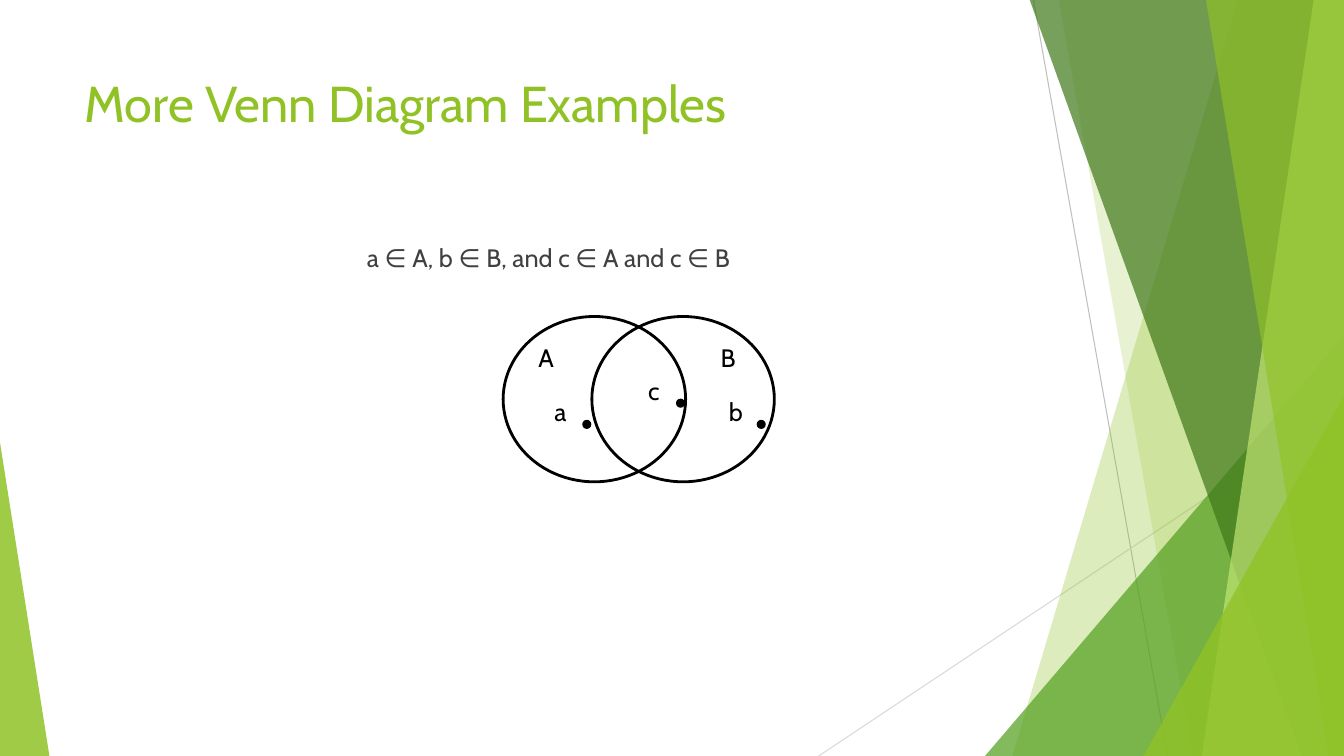
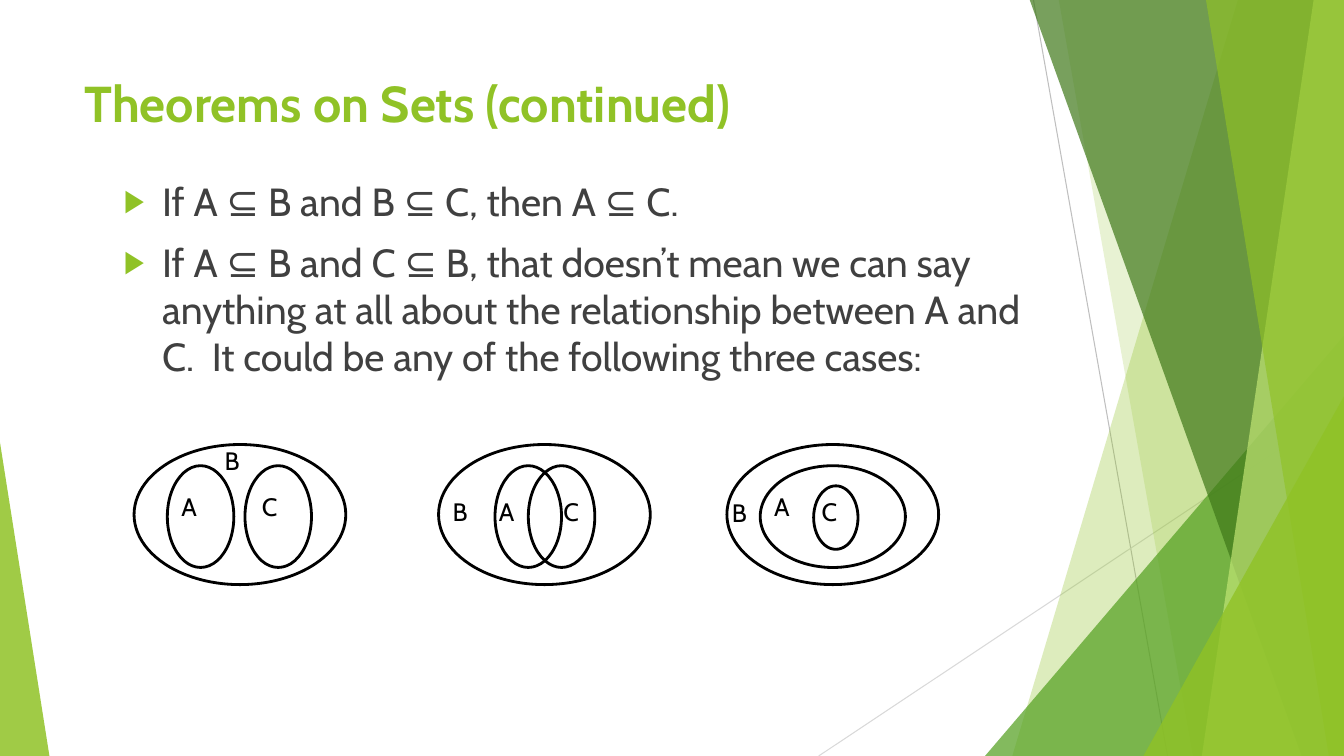
from dataclasses import dataclass

from lxml import etree
from pptx import Presentation
from pptx.dml.color import RGBColor
from pptx.enum import shapes, text
from pptx.oxml.ns import qn
from pptx.util import Inches, Pt


@dataclass(frozen=True)
class Theme:
    font: str = "Cabin"
    lime: str = "90C226"
    pale: str = "C0E474"
    green: str = "54A021"
    forest: str = "3F7819"
    body: str = "404040"
    ink: str = "000000"
    title_size: int = 36
    theorem_size: int = 28
    label_size: int = 18
    outline: float = 2
    hairline: float = 0.75


THEME = Theme()
WIDTH, HEIGHT = 13.33, 7.5

# Backdrop, from back to front
RAYS = [((10.25, 0), (11.58, HEIGHT), "BFBFBF"),
        ((WIDTH, 4.03), (8.12, HEIGHT), "D9D9D9")]
# facet: top x, bottom x; corner: left, width, height, apex position
BACKDROP = [
    ("facet", (12.28, 10.04), THEME.lime, 30),
    ("facet", (10.5, 11.83), THEME.lime, 20),
    ("corner", (9.77, 3.56, 4.17, 1), THEME.green, 72),
    ("facet", (10.21, 12.91), THEME.forest, 70),
    ("facet", (13.03, 11.92), THEME.pale, 70),
    ("facet", (11.96, 13.18), THEME.lime, 65),
    ("corner", (11.34, 1.99, 3.57, 1), THEME.lime, 80),
    ("corner", (0, 0.49, 3.11, 0), THEME.lime, 85),
]

# Slide 1: two overlapping sets and their members
VENN_TITLE = "More Venn Diagram Examples"
MEMBERSHIP = "a ∈ A, b ∈ B, and c ∈ A and c ∈ B"
SET_LEFTS, SET_TOP, SET_SIZE = (4.99, 5.87), 3.14, (1.81, 1.64)
SET_NAMES = [("A", 5.24, 3.35), ("B", 7.05, 3.35)]
MEMBERS = [("a", 5.78, 4.17), ("c", 6.71, 3.96), ("b", 7.51, 4.17)]
DOT = 0.08
MEMBER_OFFSET = (-0.38, -0.29)

# Slide 2: three cases, each measured from the corner of its outer set B
THEOREM_TITLE = "Theorems on Sets (continued)"
THEOREMS = [
    "If A ⊆ B and B ⊆ C, then A ⊆ C.",
    "If A ⊆ B and C ⊆ B, that doesn’t mean we can say anything at all about "
    "the relationship between A and C.  It could be any of the following "
    "three cases:",
]
CASE_TOP, OUTER_SIZE = 4.41, (2.1, 1.39)
CASES = [
    {"left": 1.33,
     "inner": [(0.33, 0.21, 0.66, 1.01), (1.1, 0.21, 0.66, 1.01)],
     "labels": [("A", 0.37, 0.42), ("C", 1.17, 0.42), ("B", 0.8, -0.04)]},
    {"left": 4.35,
     "inner": [(0.56, 0.21, 0.66, 1.01), (0.89, 0.21, 0.66, 1.01)],
     "labels": [("A", 0.5, 0.46), ("C", 1.14, 0.46), ("B", 0.04, 0.46)]},
    {"left": 7.21,
     "inner": [(0.33, 0.21, 1.44, 1.01), (0.86, 0.41, 0.44, 0.63)],
     "labels": [("A", 0.37, 0.42), ("C", 0.84, 0.46), ("B", -0.05, 0.47)]},
]


def rgb(color):
    return RGBColor.from_string(color)


def inches(*values):
    return [Inches(value) for value in values]


# Backdrop
def add_ray(slide, start, end, color):
    ray = slide.shapes.add_connector(
        shapes.MSO_CONNECTOR.STRAIGHT, *inches(*start, *end))
    ray.line.color.rgb = rgb(color)
    ray.line.width = Pt(THEME.hairline)
    etree.SubElement(ray.element.spPr, qn("a:effectLst"))


def add_facet(slide, top_x, bottom_x):
    top = -0.01
    outline = [(WIDTH, top), (WIDTH, HEIGHT), (bottom_x, HEIGHT)]
    builder = slide.shapes.build_freeform(*inches(top_x, top))
    builder.add_line_segments([inches(*point) for point in outline], close=True)
    return builder.convert_to_shape()


def add_corner(slide, left, width, height, apex):
    corner = slide.shapes.add_shape(
        shapes.MSO_SHAPE.ISOSCELES_TRIANGLE,
        *inches(left, HEIGHT - height, width, height))
    corner.adjustments[0] = apex
    return corner


def add_backdrop(slide):
    for ray in RAYS:
        add_ray(slide, *ray)
    builders = {"facet": add_facet, "corner": add_corner}
    for kind, geometry, color, opacity in BACKDROP:
        pane = builders[kind](slide, *geometry)
        pane.shadow.inherit = False
        pane.line.fill.background()
        pane.fill.solid()
        pane.fill.fore_color.rgb = rgb(color)
        tint = pane.element.spPr.find(".//" + qn("a:srgbClr"))
        etree.SubElement(tint, qn("a:alpha"), val=str(opacity * 1000))


# Text
def add_bullet(paragraph):
    props = paragraph._p.get_or_add_pPr()
    indent = Inches(0.38)
    props.set("marL", str(indent))
    props.set("indent", str(-indent))
    color = etree.SubElement(props, qn("a:buClr"))
    etree.SubElement(color, qn("a:srgbClr"), val=THEME.lime)
    etree.SubElement(props, qn("a:buSzPct"), val="80000")
    etree.SubElement(props, qn("a:buFont"), typeface="Arial")
    etree.SubElement(props, qn("a:buChar"), char="▶")


def add_text(slide, box, lines, size, color, bold=False, bullets=False,
             align=text.PP_ALIGN.LEFT):
    frame = slide.shapes.add_textbox(*inches(*box)).text_frame
    frame.word_wrap = True
    frame.text = "\n".join(lines)
    for number, paragraph in enumerate(frame.paragraphs):
        if bullets:
            add_bullet(paragraph)
        paragraph.alignment = align
        if number:
            paragraph.space_before = Pt(10)
        for run in paragraph.runs:
            run.font.name = THEME.font
            run.font.size = Pt(size)
            run.font.bold = bold
            run.font.color.rgb = rgb(color)
    return frame


def add_label(slide, name, left, top, width):
    frame = add_text(slide, (left, top, width, 0.4), [name],
                     THEME.label_size, THEME.ink)
    frame.auto_size = text.MSO_AUTO_SIZE.SHAPE_TO_FIT_TEXT


# Diagrams
def add_ellipse(slide, left, top, width, height, weight=THEME.outline,
                filled=False):
    ellipse = slide.shapes.add_shape(
        shapes.MSO_SHAPE.OVAL, *inches(left, top, width, height))
    ellipse.shadow.inherit = False
    ellipse.line.color.rgb = rgb(THEME.ink)
    ellipse.line.width = Pt(weight)
    if filled:
        ellipse.fill.solid()
        ellipse.fill.fore_color.rgb = rgb(THEME.ink)
    else:
        ellipse.fill.background()


def new_slide(deck, title, bold=False):
    slide = deck.slides.add_slide(deck.slide_layouts[6])
    add_backdrop(slide)
    add_text(slide, (0.74, 0.67, 9.4, 1.44), [title], THEME.title_size,
             THEME.lime, bold=bold)
    return slide


def build_venn(deck):
    slide = new_slide(deck, VENN_TITLE)
    add_text(slide, (0.74, 2.36, 9.4, 4.24), [MEMBERSHIP], THEME.label_size,
             THEME.body, align=text.PP_ALIGN.CENTER)
    for left in SET_LEFTS:
        add_ellipse(slide, left, SET_TOP, *SET_SIZE)
    for name, left, top in SET_NAMES:
        add_label(slide, name, left, top, 0.38)
    dx, dy = MEMBER_OFFSET
    for name, left, top in MEMBERS:
        add_ellipse(slide, left, top, DOT, DOT, THEME.hairline, filled=True)
        add_label(slide, name, left + dx, top + dy, 0.42)


def build_theorems(deck):
    slide = new_slide(deck, THEOREM_TITLE, bold=True)
    add_text(slide, (1.13, 1.71, 9.23, 5.02), THEOREMS, THEME.theorem_size,
             THEME.body, bullets=True)
    for case in CASES:
        left = case["left"]
        for dx, dy, width, height in [(0, 0, *OUTER_SIZE), *case["inner"]]:
            add_ellipse(slide, left + dx, CASE_TOP + dy, width, height)
        for name, dx, dy in case["labels"]:
            add_label(slide, name, left + dx, CASE_TOP + dy, 0.5)


def main():
    deck = Presentation()
    deck.slide_width, deck.slide_height = inches(WIDTH, HEIGHT)
    build_venn(deck)
    build_theorems(deck)
    deck.save("out.pptx")


if __name__ == "__main__":
    main()
